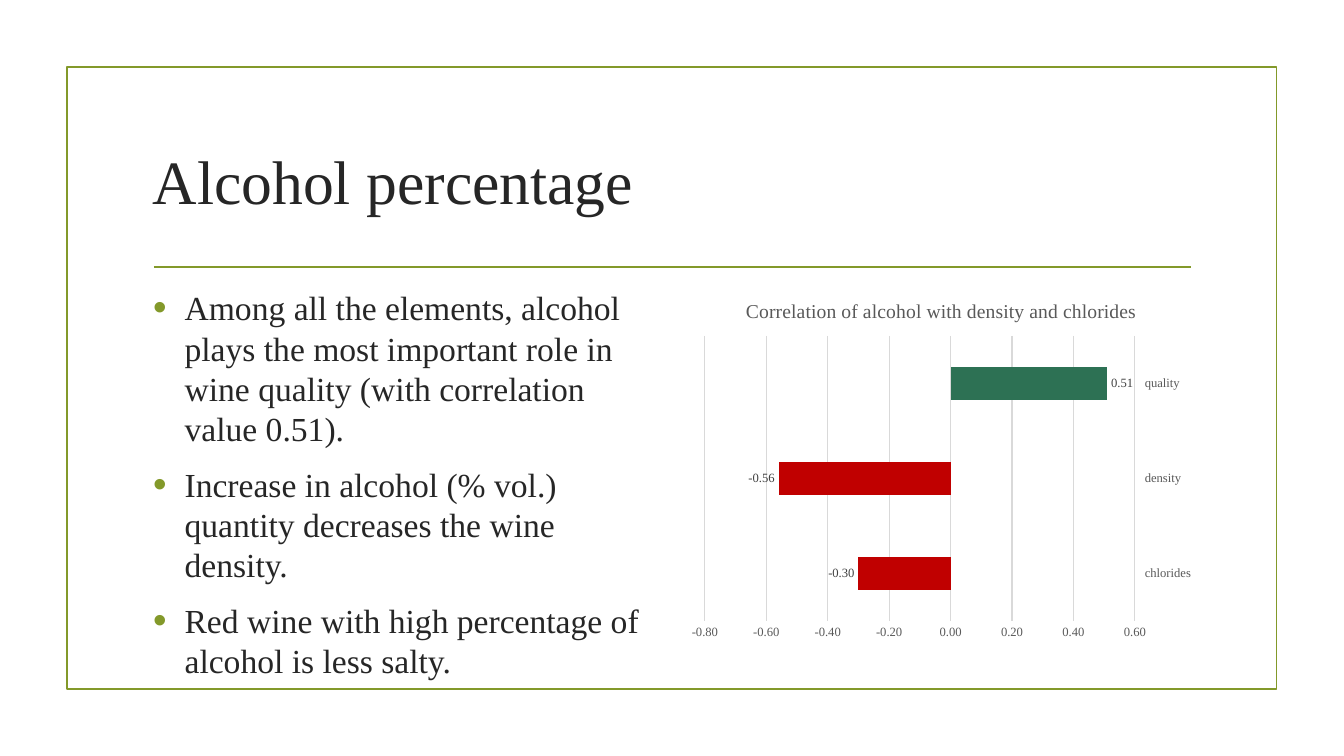
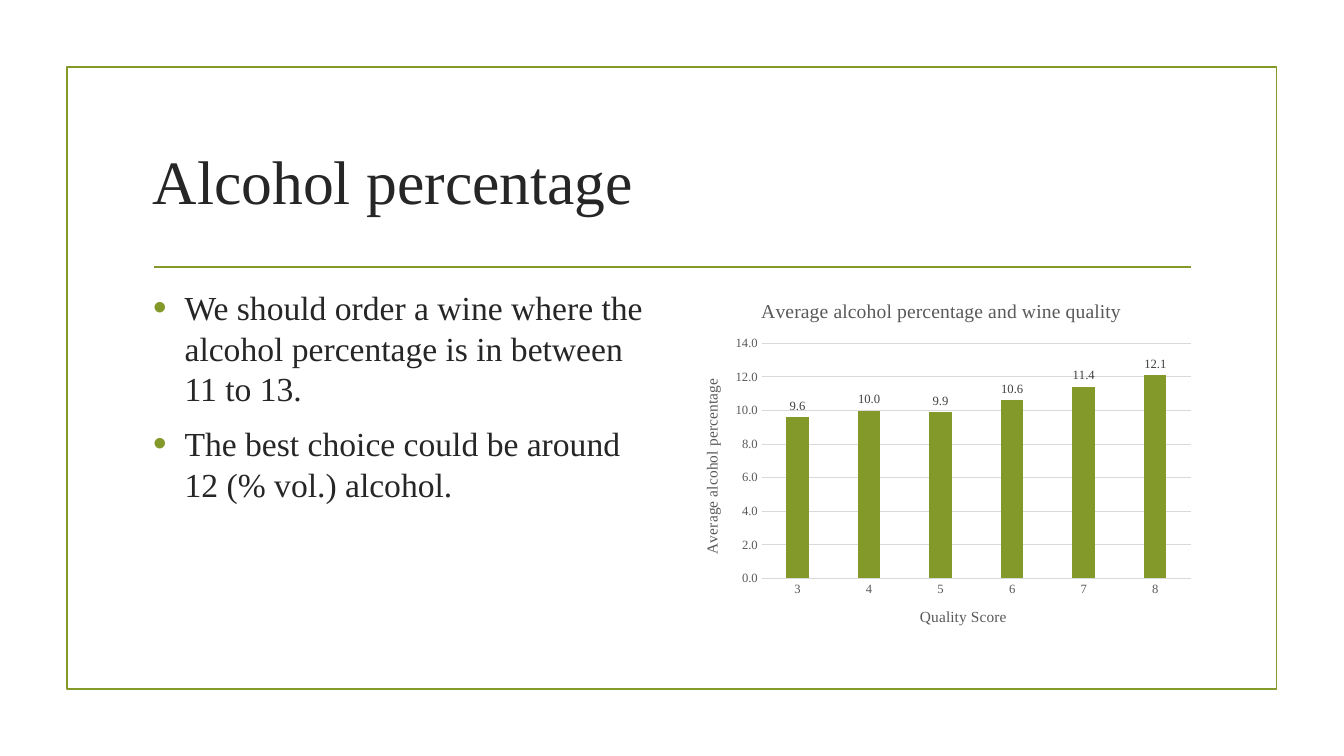
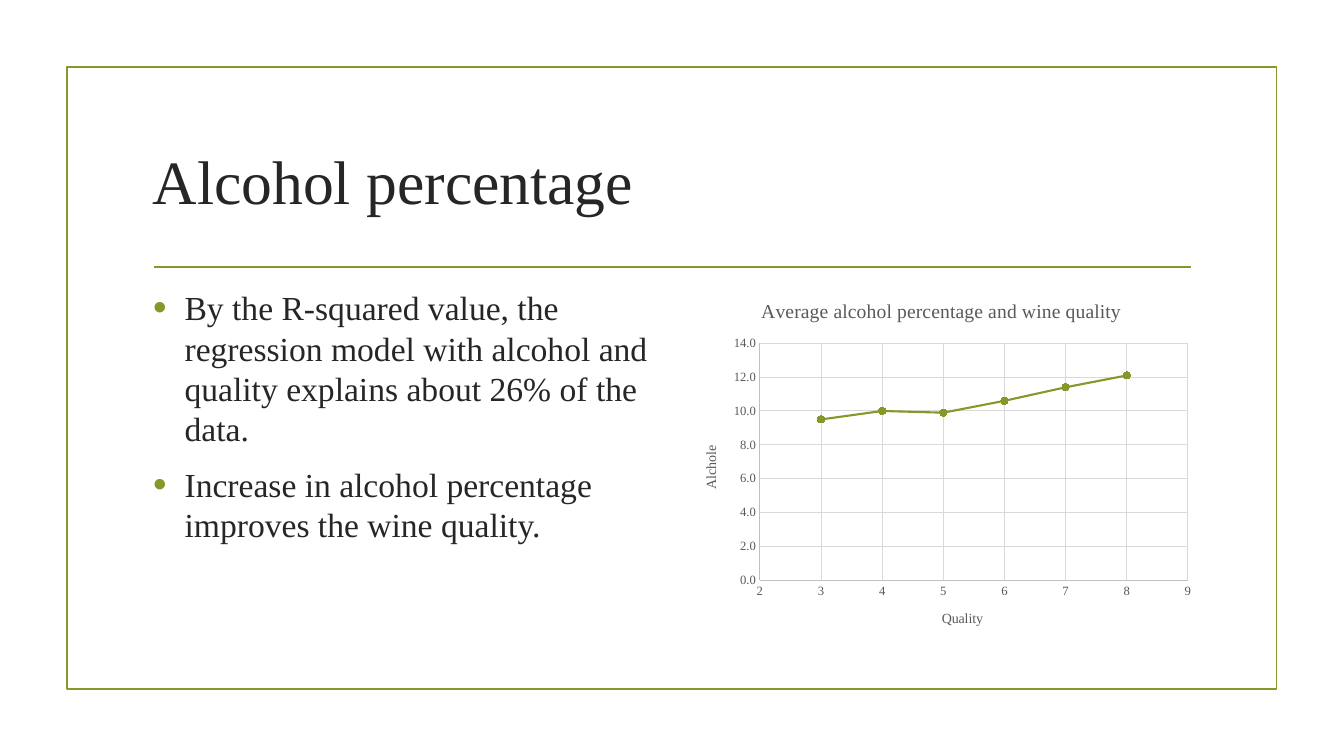
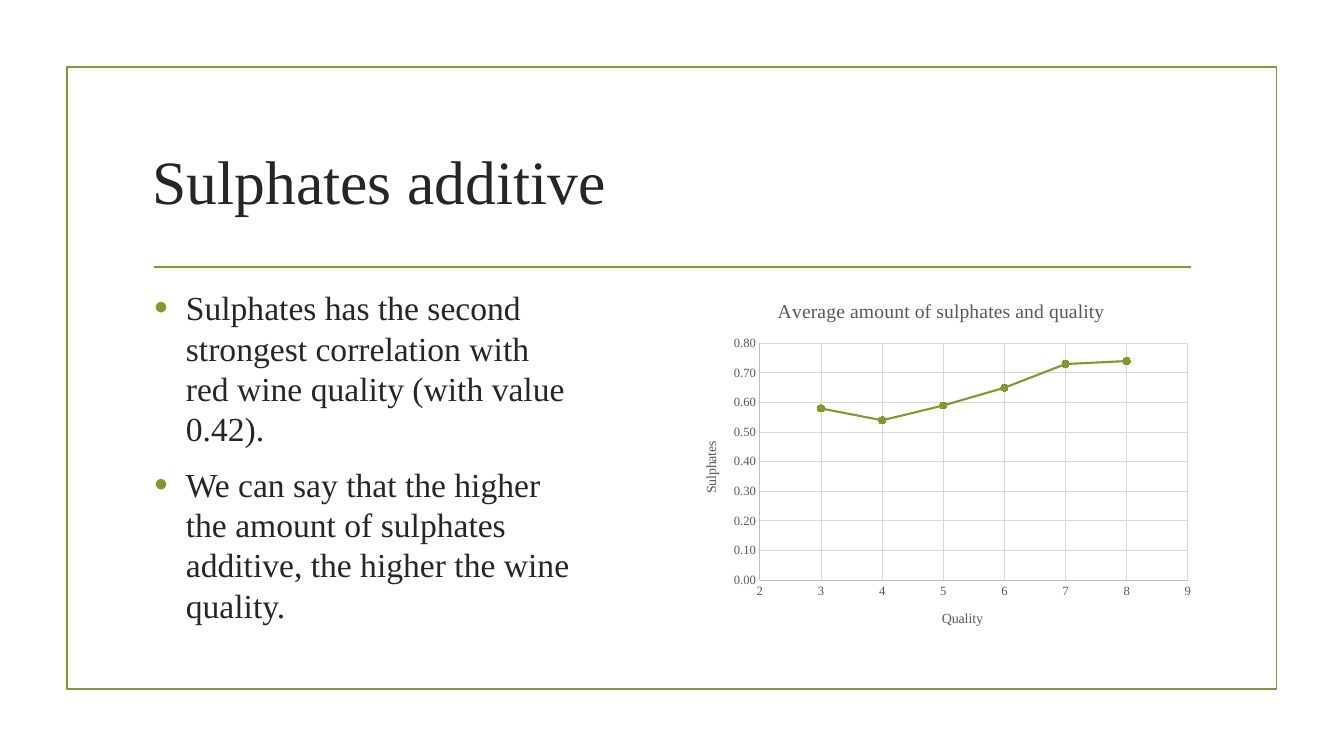
from lxml import etree
from pptx import Presentation
from pptx.chart.data import CategoryChartData, XyChartData
from pptx.dml.color import RGBColor
from pptx.enum.chart import (XL_CHART_TYPE, XL_LABEL_POSITION, XL_MARKER_STYLE,
                             XL_TICK_LABEL_POSITION, XL_TICK_MARK)
from pptx.enum.shapes import MSO_CONNECTOR, MSO_SHAPE
from pptx.enum.text import MSO_ANCHOR
from pptx.oxml.ns import qn
from pptx.util import Pt

BAR = XL_CHART_TYPE.BAR_CLUSTERED
COLUMN = XL_CHART_TYPE.COLUMN_CLUSTERED
SCATTER = XL_CHART_TYPE.XY_SCATTER_LINES
OUTSIDE = XL_LABEL_POSITION.OUTSIDE_END
HIGH = XL_TICK_LABEL_POSITION.HIGH
CIRCLE = XL_MARKER_STYLE.CIRCLE
NONE = XL_TICK_MARK.NONE
MIDDLE = MSO_ANCHOR.MIDDLE

FONT = "Times New Roman"
GREEN, RED, DEEP = "83992A", "C00000", "2D7154"
INK, LABEL, GRAY = "262626", "404040", "595959"
GRID, AXIS = "D9D9D9", "BFBFBF"


def rgb(code):
    return RGBColor.from_string(code)


def style(font, size, color):
    looks = {"name": FONT, "size": Pt(size), "bold": False}
    for key, value in looks.items():
        setattr(font, key, value)
    font.color.rgb = rgb(color)


SCORES = [3, 4, 5, 6, 7, 8]
SLIDES = [
    {"title": "Alcohol percentage",
     "points": ["Among all the elements, alcohol plays the most important role "
                "in wine quality (with correlation value 0.51).",
                "Increase in alcohol (% vol.) quantity decreases the wine density.",
                "Red wine with high percentage of alcohol is less salty."],
     "kind": BAR, "head": "Correlation of alcohol with density and chlorides",
     "cats": ["chlorides", "density", "quality"], "vals": [-0.3, -0.56, 0.51],
     "colors": [RED, RED, DEEP], "gap": 182, "overlap": 0,
     "range": (-0.8, 0.6, 0.2), "format": "0.00"},
    {"title": "Alcohol percentage",
     "points": ["We should order a wine where the alcohol percentage is in "
                "between 11 to 13.",
                "The best choice could be around 12 (% vol.) alcohol."],
     "kind": COLUMN, "head": "Average alcohol percentage and wine quality",
     "cats": [str(score) for score in SCORES],
     "vals": [9.6, 10.0, 9.9, 10.6, 11.4, 12.1],
     "colors": [], "gap": 219, "overlap": -27,
     "names": ("Quality Score", "Average alcohol percentage"), "size": 11,
     "range": (0, 14, 2), "format": "0.0"},
    {"title": "Alcohol percentage",
     "points": ["By the R-squared value, the regression model with alcohol and "
                "quality explains about 26% of the data.",
                "Increase in alcohol percentage improves the wine quality."],
     "kind": SCATTER, "head": "Average alcohol percentage and wine quality",
     "vals": [9.5, 10, 9.9, 10.6, 11.4, 12.1],
     "names": ("Quality", "Alchole"), "size": 10,
     "range": (0, 14, 2), "format": "0.0"},
    {"title": "Sulphates additive",
     "points": ["Sulphates has the second strongest correlation with red wine "
                "quality (with value 0.42).",
                "We can say that the higher the amount of sulphates additive, "
                "the higher the wine quality."],
     "left": 103.2, "width": 314.6,
     "kind": SCATTER, "head": "Average amount of sulphates and quality",
     "vals": [0.58, 0.54, 0.59, 0.65, 0.73, 0.74],
     "names": ("Quality", "Sulphates"), "size": 10,
     "range": (0, 0.8, 0.1), "format": "0.00"},
]

deck = Presentation()
deck.slide_width, deck.slide_height = Pt(960), Pt(540)

for page in SLIDES:
    shapes = deck.slides.add_slide(deck.slide_layouts[6]).shapes

    # Frame and rule
    frame = shapes.add_shape(MSO_SHAPE.RECTANGLE, Pt(47.8), Pt(48), Pt(864), Pt(444))
    frame.shadow.inherit = False
    frame.fill.background()
    rule = shapes.add_connector(MSO_CONNECTOR.STRAIGHT, Pt(110), Pt(190.8),
                                Pt(850.5), Pt(190.8))
    for shape in (frame, rule):
        shape.line.color.rgb = rgb(GREEN)
        shape.line.width = Pt(1.25)
    etree.SubElement(rule._element.spPr, qn("a:effectLst"))

    # Title
    text = shapes.add_textbox(Pt(102), Pt(77), Pt(756), Pt(103)).text_frame
    text.word_wrap = True
    text.vertical_anchor = MIDDLE
    run = text.paragraphs[0].add_run()
    run.text = page["title"]
    style(run.font, 44, INK)

    # Bullets
    text = shapes.add_textbox(Pt(page.get("left", 102.3)), Pt(201.6),
                              Pt(page.get("width", 371.5)), Pt(260.6)).text_frame
    text.word_wrap = True
    for i, point in enumerate(page["points"]):
        para = text.paragraphs[0] if i == 0 else text.add_paragraph()
        props = para._p.get_or_add_pPr()
        props.set("marL", str(Pt(22.5)))
        props.set("indent", str(Pt(-22.5)))
        tint = etree.SubElement(props, qn("a:buClr"))
        etree.SubElement(tint, qn("a:srgbClr"), val=GREEN)
        etree.SubElement(props, qn("a:buSzPct"), val="115000")
        etree.SubElement(props, qn("a:buFont"), typeface="Arial")
        etree.SubElement(props, qn("a:buChar"), char="•")
        para.space_before = Pt(4.8 if i else 0)
        para.space_after = Pt(6)
        run = para.add_run()
        run.text = point
        style(run.font, 24, INK)

    # Chart
    xy = page["kind"] == SCATTER
    if xy:
        data = XyChartData()
        series = data.add_series("Series 1")
        for score, value in zip(SCORES, page["vals"]):
            series.add_data_point(score, value)
    else:
        data = CategoryChartData()
        data.categories = page["cats"]
        data.add_series("Series 1", page["vals"])
    chart = shapes.add_chart(page["kind"], Pt(486.7), Pt(201.6), Pt(371.5),
                             Pt(260.6), data).chart
    style(chart.font, 10, GRAY)
    chart.has_legend = False
    chart.has_title = True
    chart.chart_title.text_frame.text = page["head"]
    style(chart.chart_title.text_frame.paragraphs[0].runs[0].font, 14, GRAY)

    across, up = chart.category_axis, chart.value_axis
    limits = [(up, page["range"])]
    if xy:
        limits.append((across, (2, 9, 1)))
    for axis, (low, high, step) in limits:
        axis.minimum_scale, axis.maximum_scale, axis.major_unit = low, high, step
    for axis in (across, up):
        axis.major_tick_mark = axis.minor_tick_mark = NONE
        axis.has_major_gridlines = xy or axis is up
        if axis.has_major_gridlines:
            grid = axis.major_gridlines.format.line
            grid.color.rgb = rgb(GRID)
            grid.width = Pt(0.75)
        line = axis.format.line
        if xy or axis is across:
            line.color.rgb = rgb(AXIS if xy else GRID)
            line.width = Pt(0.75)
        else:
            line.fill.background()
        style(axis.tick_labels.font, 9, GRAY)
    up.tick_labels.number_format = page["format"]
    up.tick_labels.number_format_is_linked = False
    if page["kind"] == BAR:
        across.tick_label_position = HIGH

    for axis, name in zip((across, up), page.get("names", ())):
        axis.has_title = True
        text = axis.axis_title.text_frame
        text.text = name
        style(text.paragraphs[0].runs[0].font, page["size"], GRAY)
        if axis is up:
            text._txBody.bodyPr.set("rot", "-5400000")
            text._txBody.bodyPr.set("vert", "horz")

    plot = chart.plots[0]
    plot.vary_by_categories = False
    series = plot.series[0]
    if xy:
        series.smooth = False
        series.format.line.color.rgb = rgb(GREEN)
        series.format.line.width = Pt(1.5)
        mark = series.marker
        mark.style, mark.size = CIRCLE, 5
        mark.format.fill.solid()
        mark.format.fill.fore_color.rgb = rgb(GREEN)
        mark.format.line.color.rgb = rgb(GREEN)
    else:
        plot.gap_width, plot.overlap = page["gap"], page["overlap"]
        series.invert_if_negative = False
        series.format.fill.solid()
        series.format.fill.fore_color.rgb = rgb(GREEN)
        for i, color in enumerate(page["colors"]):
            fill = series.points[i].format.fill
            fill.solid()
            fill.fore_color.rgb = rgb(color)
        labels = series.data_labels
        labels.show_value = True
        labels.position = OUTSIDE
        labels.number_format = page["format"]
        labels.number_format_is_linked = False
        style(labels.font, 9, LABEL)

deck.save("out.pptx")
